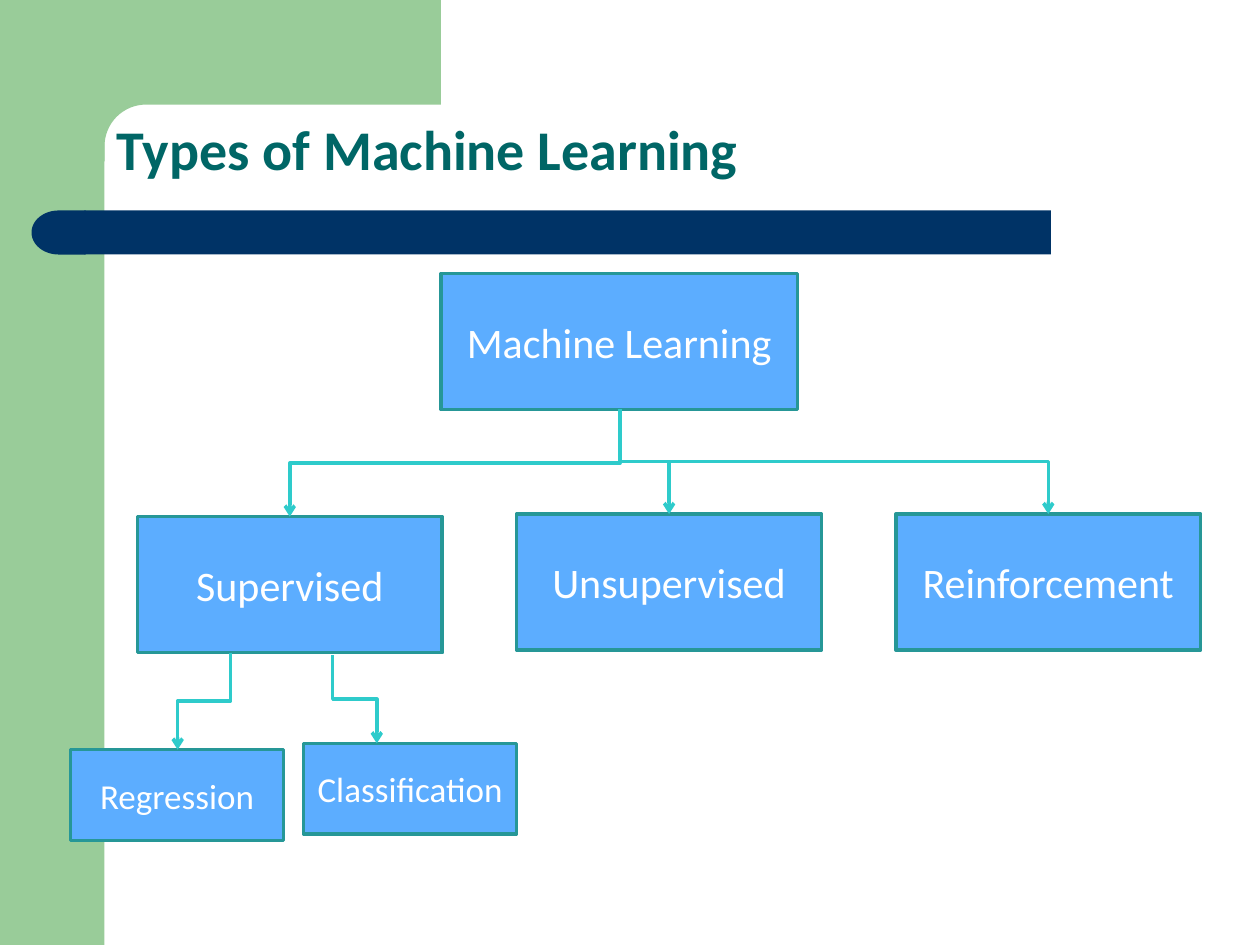
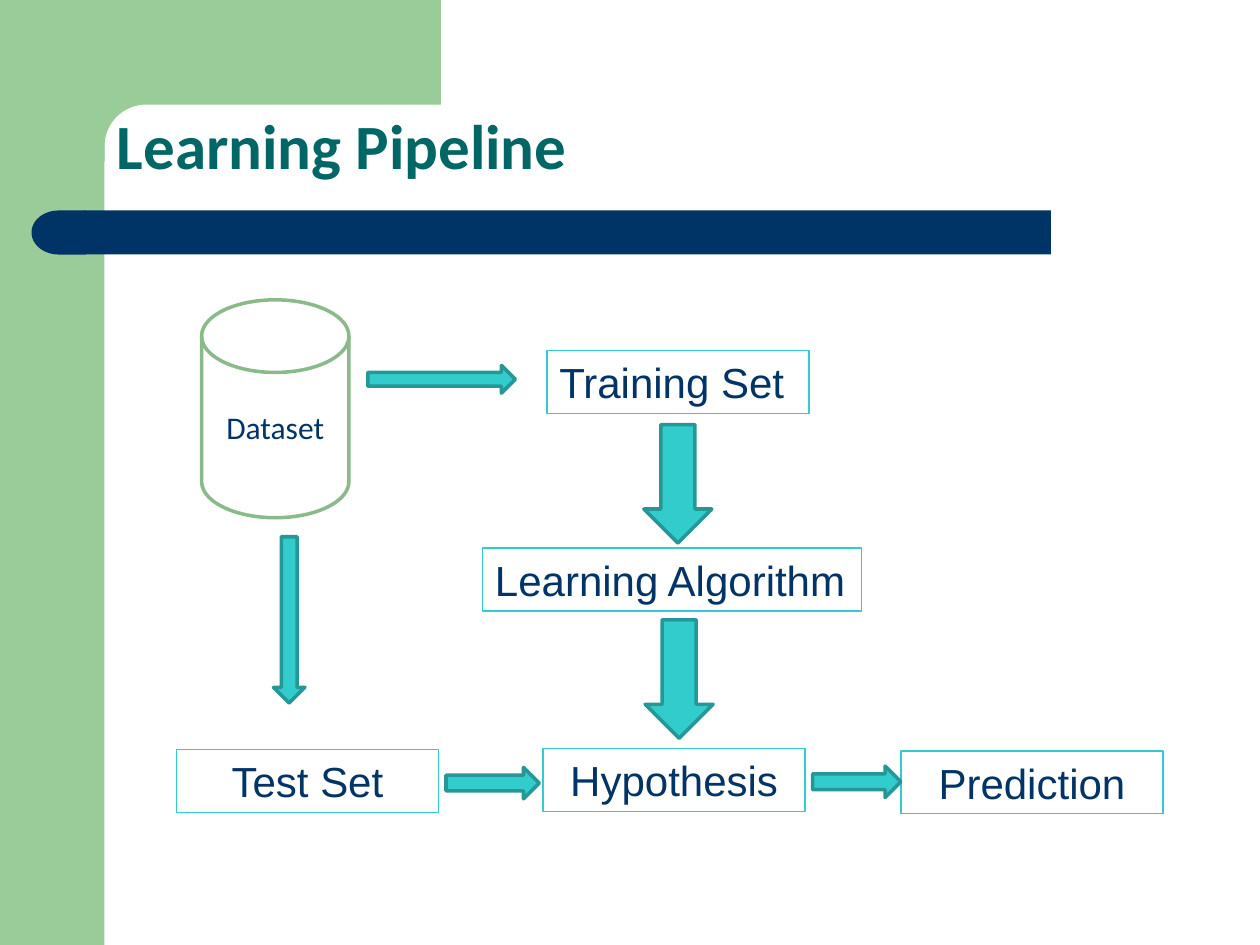
"""Build two slides: the types of machine learning and the learning pipeline."""
from dataclasses import dataclass
from math import cos, pi, sin
from typing import Optional

from lxml.etree import SubElement
from pptx import Presentation
from pptx.dml.color import RGBColor
from pptx.enum.shapes import MSO_CONNECTOR, MSO_SHAPE
from pptx.enum.text import MSO_ANCHOR, PP_ALIGN
from pptx.oxml.ns import qn
from pptx.util import Inches, Pt

GREEN = RGBColor(0x99, 0xCC, 0x99)
DARK_GREEN = RGBColor(0x8A, 0xB9, 0x8A)
NAVY = RGBColor(0x00, 0x33, 0x66)
TEAL = RGBColor(0x00, 0x66, 0x66)
BLUE = RGBColor(0x5C, 0xAD, 0xFF)
EDGE = RGBColor(0x26, 0x97, 0x97)
LINK = RGBColor(0x2E, 0xCB, 0xCB)
AQUA = RGBColor(0x33, 0xCC, 0xCC)
WHITE = RGBColor(0xFF, 0xFF, 0xFF)


@dataclass(frozen=True)
class Node:
    """A filled box of the tree."""
    text: str
    x: float
    y: float
    w: float = 2.42
    h: float = 1.08
    size: int = 24


@dataclass(frozen=True)
class Stage:
    """An outlined step of the pipeline."""
    text: str
    x: float
    y: float
    w: float = 2.08
    align: PP_ALIGN = PP_ALIGN.CENTER


@dataclass(frozen=True)
class Arrow:
    """A block arrow between two steps."""
    kind: MSO_SHAPE
    x: float
    y: float
    w: float
    h: float


@dataclass(frozen=True)
class Link:
    """An elbow arrow that leaves downwards and arrives downwards."""
    x1: float
    y1: float
    x2: float
    y2: float


TREE = [
    Node("Machine Learning", 3.5, 2.17, w=2.83),
    *(Node(text, 1.09 + 3.01 * i, y) for i, (text, y) in enumerate(
        [("Supervised", 4.1), ("Unsupervised", 4.08), ("Reinforcement", 4.08)])),
    Node("Regression", 0.56, 5.95, 1.69, 0.72, 20),
    Node("Classification", 2.41, 5.9, 1.69, 0.72, 20),
]
LINKS = [
    *(Link(4.92, 3.25, n.x + n.w / 2, n.y) for n in TREE[1:4]),
    Link(1.83, 5.18, 1.41, 5.95),
    Link(2.64, 5.2, 2.99, 5.9),
]
STAGES = [
    Stage("Training Set", 4.34, 2.78, align=PP_ALIGN.LEFT),
    Stage("Learning Algorithm", 3.83, 4.35, 3.01, PP_ALIGN.LEFT),
    Stage("Hypothesis", 4.31, 5.94),
    Stage("Prediction", 7.15, 5.96),
    Stage("Test Set", 1.4, 5.95),
]
ARROWS = [
    Arrow(MSO_SHAPE.DOWN_ARROW, 5.11, 3.37, 0.54, 0.94),
    Arrow(MSO_SHAPE.DOWN_ARROW, 5.12, 4.92, 0.54, 0.94),
    Arrow(MSO_SHAPE.DOWN_ARROW, 2.17, 4.26, 0.25, 1.32),
    Arrow(MSO_SHAPE.RIGHT_ARROW, 2.92, 2.9, 1.17, 0.22),
    Arrow(MSO_SHAPE.RIGHT_ARROW, 3.54, 6.09, 0.74, 0.25),
    Arrow(MSO_SHAPE.RIGHT_ARROW, 6.45, 6.08, 0.7, 0.25),
]


def write(sp, text: str, *, size: float, color: RGBColor, font: str = "Calibri",
          bold: bool = False, align: PP_ALIGN = PP_ALIGN.CENTER,
          anchor: MSO_ANCHOR = MSO_ANCHOR.MIDDLE, spacing: Optional[float] = None) -> None:
    """Put one formatted paragraph into a shape."""
    tf = sp.text_frame
    tf.word_wrap = True
    tf.vertical_anchor = anchor
    p = tf.paragraphs[0]
    p.alignment = align
    p.line_spacing = spacing
    r = p.add_run()
    r.text = text
    r.font.name, r.font.size, r.font.bold = font, Pt(size), bold
    r.font.color.rgb = color


def paint(sp, fill: Optional[RGBColor], line: Optional[RGBColor], width: float) -> None:
    """Set fill and outline, and drop the shadow."""
    sp.shadow.inherit = False
    if fill is None:
        sp.fill.background()
    else:
        sp.fill.solid()
        sp.fill.fore_color.rgb = fill
    if line is None:
        sp.line.fill.background()
    else:
        sp.line.color.rgb = line
        sp.line.width = Pt(width)


def add_box(s, kind: MSO_SHAPE, x: float, y: float, w: float, h: float,
            fill: Optional[RGBColor] = None, line: Optional[RGBColor] = None,
            width: float = 2):
    """Add a preset shape."""
    sp = s.shapes.add_shape(kind, Inches(x), Inches(y), Inches(w), Inches(h))
    paint(sp, fill, line, width)
    return sp


def add_link(s, link: Link) -> None:
    """Add an elbow arrow, turned a quarter so that it starts vertically."""
    cx, cy = (link.x1 + link.x2) / 2, (link.y1 + link.y2) / 2
    rightward = link.x2 > link.x1
    half_w = (link.y2 - link.y1) / 2 * (-1 if rightward else 1)
    half_h = abs(link.x2 - link.x1) / 2
    c = s.shapes.add_connector(MSO_CONNECTOR.ELBOW, Inches(cx - half_w), Inches(cy - half_h),
                               Inches(cx + half_w), Inches(cy + half_h))
    c.line.color.rgb = LINK
    c.line.width = Pt(2)
    sppr = c._element.spPr
    sppr.find(qn("a:xfrm")).set("rot", str((270 if rightward else 90) * 60000))
    SubElement(sppr.find(qn("a:ln")), qn("a:tailEnd"), type="arrow")
    SubElement(sppr, qn("a:effectLst"))


def add_corner(s) -> None:
    """Add the green top band with its rounded inner corner."""
    radius, steps = 0.33, 16
    angles = [pi / 2 * i / steps for i in range(steps + 1)]
    arc = [(1.16 - radius * sin(a), 1.16 - radius * cos(a)) for a in angles]
    points = [(3.5, 0.83), *arc, (0.83, 1.28), (0.5, 1.28), (0.5, 0)]
    builder = s.shapes.build_freeform(Inches(3.5), 0)
    builder.add_line_segments([(Inches(x), Inches(y)) for x, y in points], close=True)
    paint(builder.convert_to_shape(), GREEN, None, 0)


def add_base(prs, title: str, size: float):
    """Add a slide with the shared bands and a title."""
    s = prs.slides.add_slide(prs.slide_layouts[6])
    add_box(s, MSO_SHAPE.RECTANGLE, 0, 0, 0.83, 7.5, GREEN)
    add_corner(s)
    add_box(s, MSO_SHAPE.RECTANGLE, 0.67, 1.67, 7.67, 0.35, NAVY)
    add_box(s, MSO_SHAPE.FLOWCHART_DELAY, 0.25, 1.67, 0.43, 0.35, NAVY).rotation = 180
    tb = s.shapes.add_textbox(Inches(0.83), Inches(0.83), Inches(8.67), Inches(0.67))
    write(tb, title, size=size, color=TEAL, bold=True, align=PP_ALIGN.LEFT,
          anchor=MSO_ANCHOR.BOTTOM, spacing=0.9)
    return s


def build_types(prs) -> None:
    """Draw the tree of learning types."""
    s = add_base(prs, "Types of Machine Learning", 32)
    for n in TREE:
        sp = add_box(s, MSO_SHAPE.RECTANGLE, n.x, n.y, n.w, n.h, BLUE, EDGE)
        write(sp, n.text, size=n.size, color=WHITE)
    for link in LINKS:
        add_link(s, link)


def build_pipeline(prs) -> None:
    """Draw the pipeline from dataset to prediction."""
    s = add_base(prs, "Learning Pipeline", 36)
    for st in STAGES:
        sp = add_box(s, MSO_SHAPE.RECTANGLE, st.x, st.y, st.w, 0.5, line=AQUA, width=0.75)
        write(sp, st.text, size=24, color=NAVY, font="Arial", align=st.align,
              anchor=MSO_ANCHOR.TOP)
    disk = add_box(s, MSO_SHAPE.FLOWCHART_MAGNETIC_DISK, 1.6, 2.38, 1.17, 1.73,
                   WHITE, DARK_GREEN)
    write(disk, "Dataset", size=18, color=NAVY)
    for a in ARROWS:
        add_box(s, a.kind, a.x, a.y, a.w, a.h, AQUA, EDGE)


def main() -> None:
    """Build and save the presentation."""
    prs = Presentation()
    prs.slide_width, prs.slide_height = Inches(10), Inches(7.5)
    build_types(prs)
    build_pipeline(prs)
    prs.save("out.pptx")


if __name__ == "__main__":
    main()
